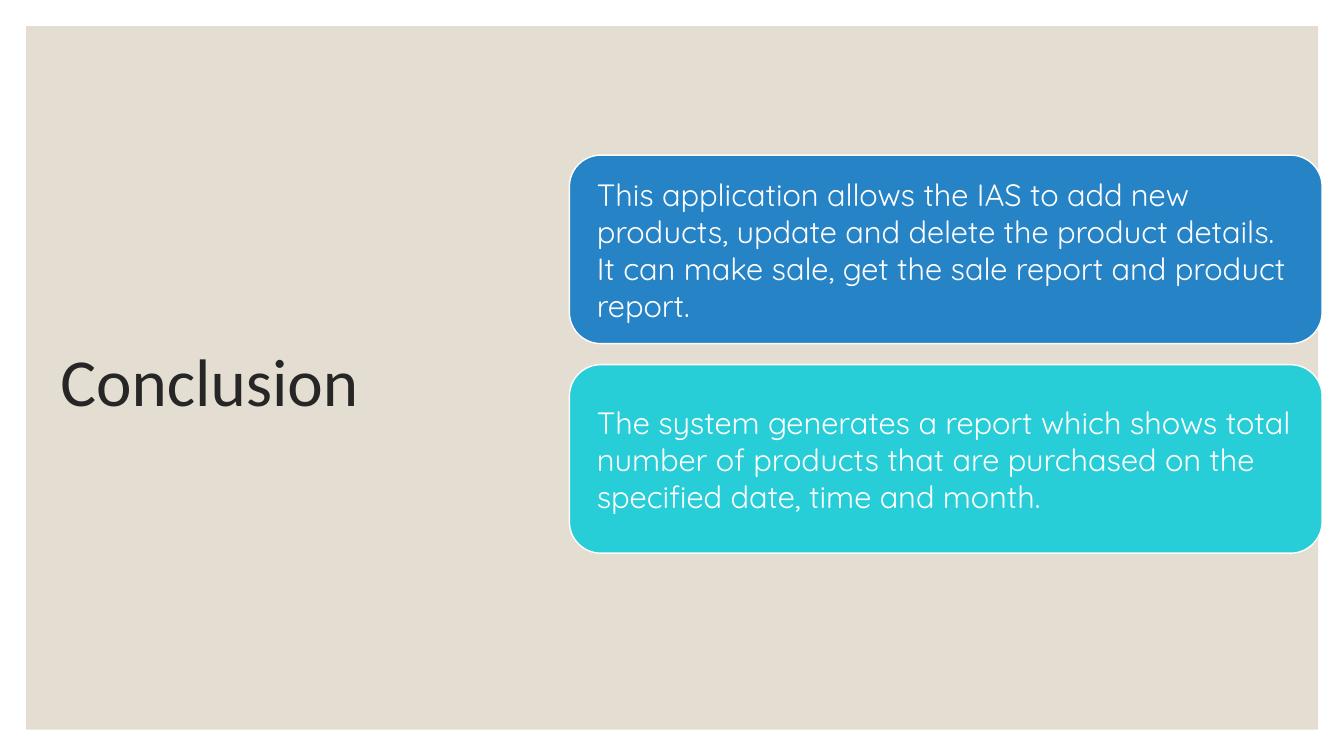
from pptx import Presentation
from pptx.dml.color import RGBColor
from pptx.enum.shapes import MSO_SHAPE
from pptx.enum.text import MSO_ANCHOR, MSO_AUTO_SIZE, PP_ALIGN
from pptx.util import Cm, Pt

WHITE = RGBColor(0xFF, 0xFF, 0xFF)
SAND = RGBColor(0xE3, 0xDE, 0xD1)
INK = RGBColor(0x26, 0x26, 0x26)
BLUE = RGBColor(0x26, 0x83, 0xC6)
CYAN = RGBColor(0x27, 0xCE, 0xD7)

POINTS = [
    (BLUE, "This application allows the IAS to add new products, update and delete "
           "the product details. It can make sale, get the sale report and product report."),
    (CYAN, "The system generates a report which shows total number of products "
           "that are purchased on the specified date, time and month."),
]


def write(shape, text, font, color, inset, spacing):
    frame = shape.text_frame
    frame.text = text
    form = {"word_wrap": True, "auto_size": MSO_AUTO_SIZE.NONE,
            "vertical_anchor": MSO_ANCHOR.MIDDLE,
            "margin_left": inset, "margin_right": inset}
    for name, value in form.items():
        setattr(frame, name, value)
    line = frame.paragraphs[0]
    line.alignment = PP_ALIGN.LEFT
    line.line_spacing = spacing
    for name, value in font.items():
        setattr(line.font, name, value)
    line.font.color.rgb = color


def add_panel(slide, left, top, width, height):
    """Lay the sand panel behind everything else."""
    panel = slide.shapes.add_shape(MSO_SHAPE.RECTANGLE, left, top, width, height)
    panel.shadow.inherit = False
    panel.fill.solid()
    panel.fill.fore_color.rgb = SAND
    panel.line.fill.background()
    slide.shapes._spTree.insert(2, panel._element)


def set_title(slide, text, left, top, width, height):
    title = slide.shapes.title
    box = {"left": left, "top": top, "width": width, "height": height}
    for name, value in box.items():
        setattr(title, name, value)
    write(title, text, {"name": "Calibri", "size": Pt(48)}, INK, Cm(0.25), 0.9)


def add_cards(slide, points, left, top, width, height):
    """Stack one card per point, with equal gaps, to fill the box."""
    gap = Cm(0.53)
    tall = (height - gap * (len(points) - 1)) // len(points)
    for row, (color, text) in enumerate(points):
        card = slide.shapes.add_shape(MSO_SHAPE.ROUNDED_RECTANGLE, left,
                                      top + row * (tall + gap), width, tall)
        card.shadow.inherit = False
        card.fill.solid()
        card.fill.fore_color.rgb = color
        card.line.color.rgb = WHITE
        card.line.width = Pt(1)
        write(card, text, {"name": "Quicksand", "size": Pt(22)}, WHITE, Cm(0.46), 1.0)


def main():
    deck = Presentation()
    deck.slide_width, deck.slide_height = Cm(33.87), Cm(19.05)
    slide = deck.slides.add_slide(deck.slide_layouts[5])
    add_panel(slide, Cm(0.66), Cm(0.66), Cm(32.56), Cm(17.73))
    set_title(slide, "Conclusion", Cm(1.27), Cm(2), Cm(10.36), Cm(15.37))
    add_cards(slide, POINTS, Cm(14.35), Cm(3.91), Cm(18.97), Cm(10.03))
    deck.save("out.pptx")


if __name__ == "__main__":
    main()
